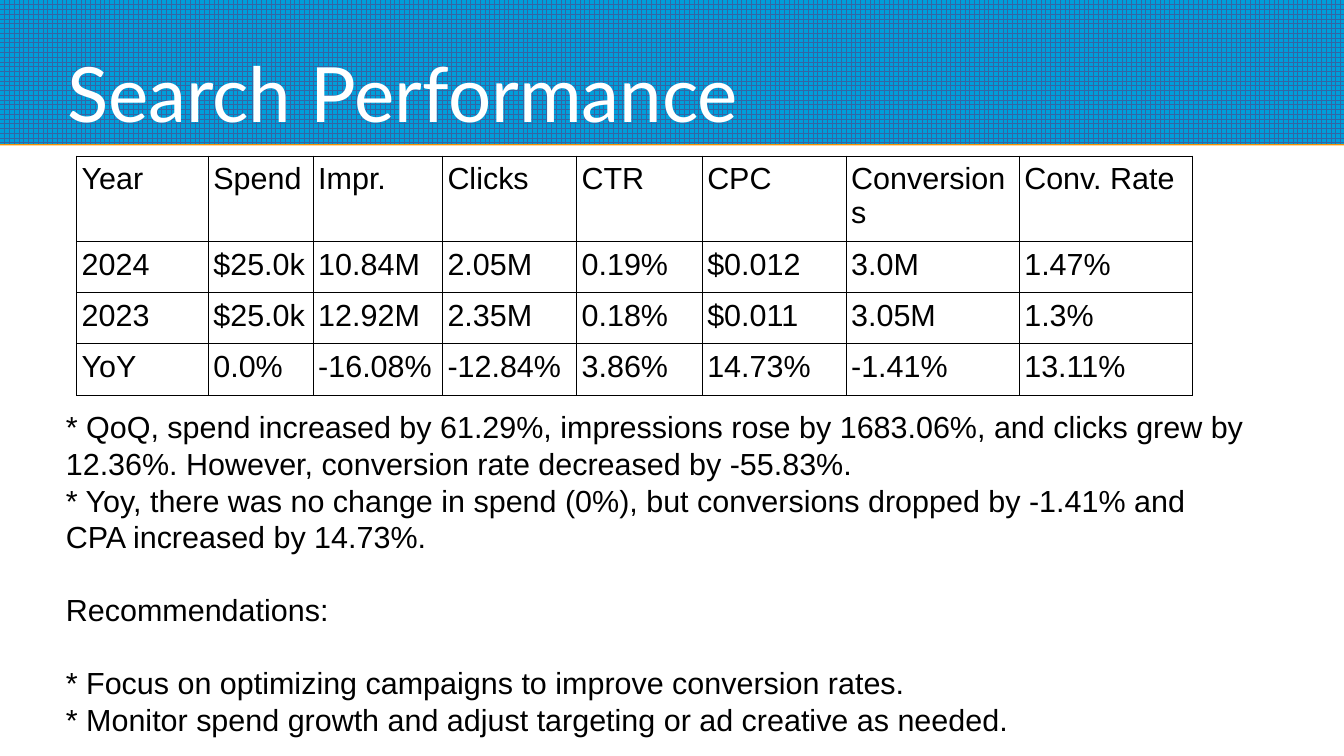
from dataclasses import dataclass

from lxml import etree
from pptx import Presentation
from pptx.dml.color import RGBColor
from pptx.enum.dml import MSO_PATTERN
from pptx.enum.shapes import MSO_SHAPE
from pptx.enum.text import MSO_ANCHOR
from pptx.oxml.ns import qn
from pptx.slide import Slide
from pptx.table import _Cell
from pptx.text.text import TextFrame
from pptx.util import Inches, Pt

RECTANGLE = MSO_SHAPE.RECTANGLE
LARGE_GRID = MSO_PATTERN.LARGE_GRID
TOP, BOTTOM = MSO_ANCHOR.TOP, MSO_ANCHOR.BOTTOM

COLORS = {
    "banner": "009EDA",
    "grid": "3465A4",
    "accent": "F49100",
    "title": "FFFFFF",
    "text": "000000",
}
SLIDE_WIDTH, SLIDE_HEIGHT = 11.02, 6.2
BORDER_WIDTH = Pt(0.57)
NOTE_LINE = 21.6


@dataclass(frozen=True)
class Column:
    heading: str
    width: float
    values: tuple[str, str, str]


@dataclass(frozen=True)
class Note:
    text: str
    gap: float = 0


COLUMNS = [
    Column("Year", 1.08, ("2024", "2023", "YoY")),
    Column("Spend", 0.86, ("$25.0k", "$25.0k", "0.0%")),
    Column("Impr.", 1.06, ("10.84M", "12.92M", "-16.08%")),
    Column("Clicks", 1.1, ("2.05M", "2.35M", "-12.84%")),
    Column("CTR", 1.03, ("0.19%", "0.18%", "3.86%")),
    Column("CPC", 1.18, ("$0.012", "$0.011", "14.73%")),
    Column("Conversions", 1.42, ("3.0M", "3.05M", "-1.41%")),
    Column("Conv. Rate", 1.42, ("1.47%", "1.3%", "13.11%")),
]
ROW_HEIGHTS = [0.67, 0.42, 0.42, 0.42]
NOTES = [
    Note("* QoQ, spend increased by 61.29%, impressions rose by 1683.06%, and clicks grew "
         "by 12.36%. However, conversion rate decreased by -55.83%."),
    Note("* Yoy, there was no change in spend (0%), but conversions dropped by -1.41% "
         "and CPA increased by 14.73%."),
    Note("Recommendations:", NOTE_LINE),
    Note("* Focus on optimizing campaigns to improve conversion rates.", NOTE_LINE),
    Note("* Monitor spend growth and adjust targeting or ad creative as needed."),
]


def rgb(color: str) -> RGBColor:
    return RGBColor.from_string(COLORS[color])


def write(frame: TextFrame, notes: list[Note], *, size: float = 18, font: str = "Arial",
          color: str = "text", line: float | None = None) -> None:
    for index, note in enumerate(notes):
        paragraph = frame.add_paragraph() if index else frame.paragraphs[0]
        paragraph.space_before = Pt(note.gap)
        if line:
            paragraph.line_spacing = Pt(line)
        run = paragraph.add_run()
        run.text = note.text
        run.font.size = Pt(size)
        run.font.name = font
        run.font.color.rgb = rgb(color)


def add_text_area(slide: Slide, left: float, top: float, width: float, height: float,
                  inset: float, anchor: MSO_ANCHOR) -> TextFrame:
    frame = slide.shapes.add_textbox(
        Inches(left), Inches(top), Inches(width), Inches(height)).text_frame
    frame.word_wrap = True
    frame.vertical_anchor = anchor
    frame.margin_left = frame.margin_right = Inches(inset)
    frame.margin_top = frame.margin_bottom = Inches(inset)
    return frame


def add_solid_fill(parent: etree._Element, color: str) -> None:
    fill = etree.SubElement(parent, qn("a:solidFill"))
    etree.SubElement(fill, qn("a:srgbClr"), val=COLORS[color])


def add_banner(slide: Slide) -> None:
    banner = slide.shapes.add_shape(RECTANGLE, 0, 0, Inches(SLIDE_WIDTH), Inches(1.18))
    banner.fill.patterned()
    banner.fill.pattern = LARGE_GRID
    banner.fill.fore_color.rgb = rgb("grid")
    banner.fill.back_color.rgb = rgb("banner")
    banner.line.fill.background()
    banner.shadow.inherit = False
    effects = banner.element.spPr.find(qn("a:effectLst"))
    underline = etree.SubElement(effects, qn("a:outerShdw"), blurRad="0",
                                 dist=str(Pt(0.9)), dir="5400000", rotWithShape="0")
    etree.SubElement(underline, qn("a:srgbClr"), val=COLORS["accent"])


def format_cell(cell: _Cell) -> None:
    cell.margin_left = cell.margin_right = Inches(0.04)
    cell.margin_top = cell.margin_bottom = Inches(0.05)
    cell.fill.background()
    properties = cell._tc.get_or_add_tcPr()
    for position, side in enumerate(("lnL", "lnR", "lnT", "lnB")):
        border = etree.Element(qn(f"a:{side}"), w=str(BORDER_WIDTH))
        add_solid_fill(border, "text")
        properties.insert(position, border)


def add_performance_table(slide: Slide) -> None:
    width = sum(column.width for column in COLUMNS)
    table = slide.shapes.add_table(
        len(ROW_HEIGHTS), len(COLUMNS), Inches(0.63), Inches(1.28),
        Inches(width), Inches(sum(ROW_HEIGHTS))).table
    table.first_row = False
    table.horz_banding = False
    for row, height in zip(table.rows, ROW_HEIGHTS):
        row.height = Inches(height)
    for column_index, column in enumerate(COLUMNS):
        table.columns[column_index].width = Inches(column.width)
        for row_index, value in enumerate((column.heading, *column.values)):
            cell = table.cell(row_index, column_index)
            write(cell.text_frame, [Note(value)])
            format_cell(cell)


def main() -> None:
    presentation = Presentation()
    presentation.slide_width = Inches(SLIDE_WIDTH)
    presentation.slide_height = Inches(SLIDE_HEIGHT)
    slide = presentation.slides.add_slide(presentation.slide_layouts[6])
    add_banner(slide)
    title = add_text_area(slide, 0.55, 0.1, 9.92, 1.03, 0, BOTTOM)
    write(title, [Note("Search Performance")], size=45, font="Lato", color="title")
    add_performance_table(slide)
    commentary = add_text_area(slide, 0.5, 3.31, 9.75, 2.8, 0.04, TOP)
    write(commentary, NOTES, line=NOTE_LINE)
    presentation.save("out.pptx")


if __name__ == "__main__":
    main()
